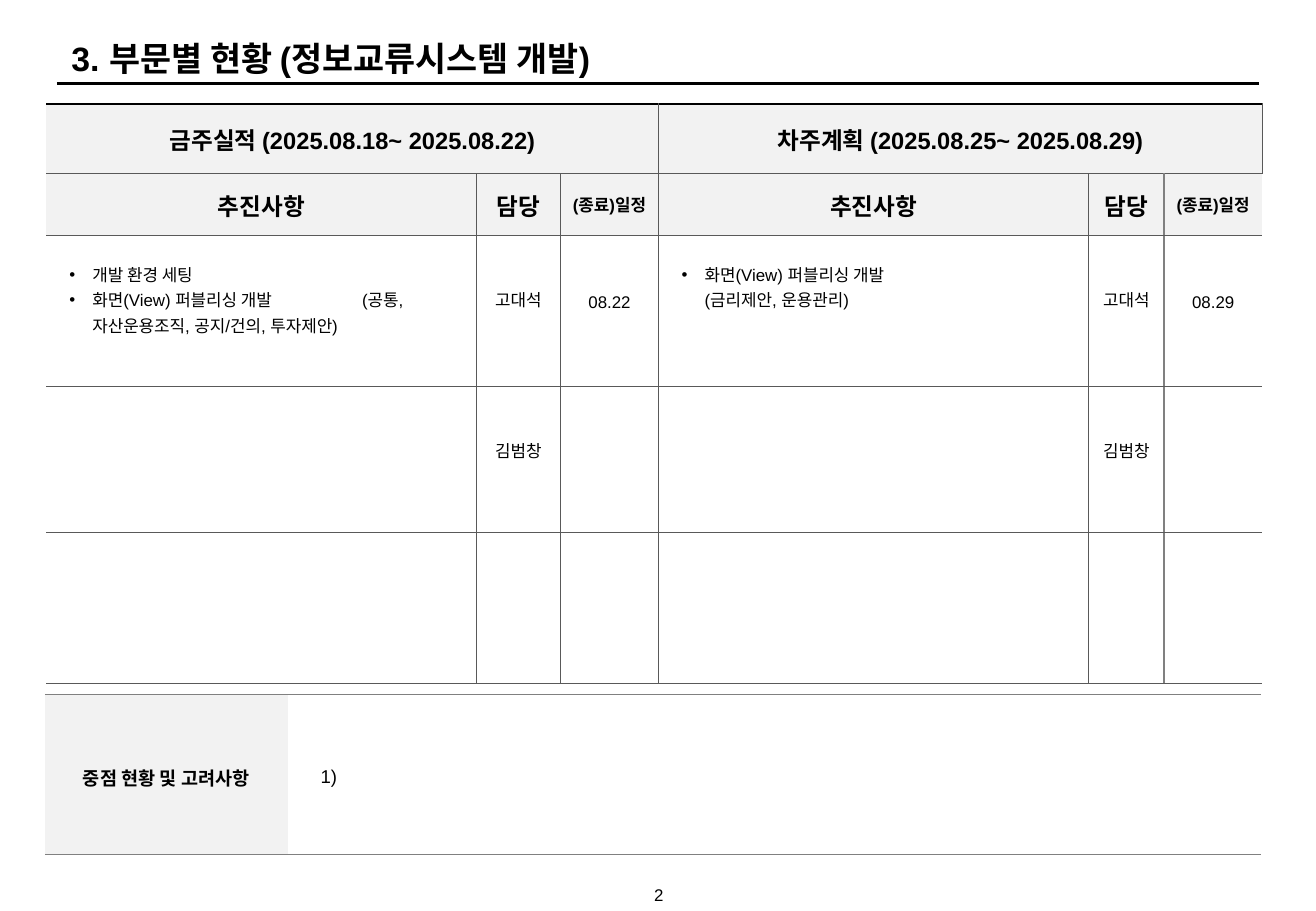
import pptx
import pptx.dml.color
import pptx.enum.shapes
import pptx.enum.text
import pptx.oxml
import pptx.oxml.ns
import pptx.util
from dataclasses import dataclass
from lxml import etree

Cm = pptx.util.Cm
Pt = pptx.util.Pt
qn = pptx.oxml.ns.qn
ALIGN = pptx.enum.text.PP_ALIGN
ANCHOR = pptx.enum.text.MSO_ANCHOR


@dataclass(frozen=True)
class Theme:
    font: str = "Arial"
    text: str = "000000"
    header_fill: str = "F2F2F2"
    grid: str = "595959"
    soft_grid: str = "808080"
    title_size: int = 20
    header_size: int = 14
    note_size: int = 11
    body_size: int = 10


THEME = Theme()
GRID = (THEME.grid, 0.5)
SOFT_GRID = (THEME.soft_grid, 0.5)
DIVIDER = (THEME.soft_grid, 1)
HEAVY = (THEME.text, 1.5)

COLUMNS = [8.99, 1.75, 2.06, 8.99, 1.57, 2.06]
ROWS = [1.45, 1.3, 3.15, 3.05, 3.15]
PERIODS = ["금주실적 (2025.08.18~ 2025.08.22)", "차주계획 (2025.08.25~ 2025.08.29)"]
HEADINGS = ["추진사항", "담당", "(종료)일정"]
# Each row holds tasks, person and date for this week, then for next week
WORK = [
    [["개발 환경 세팅",
      "화면(View) 퍼블리싱 개발\t(공통, 자산운용조직, 공지/건의, 투자제안)"],
     "고대석", "08.22",
     ["화면(View) 퍼블리싱 개발\v(금리제안, 운용관리)"],
     "고대석", "08.29"],
    [[], "김범창", "", [], "김범창", ""],
    [[], "", "", [], "", ""],
]


def set_font(paragraph, size, bold=False):
    paragraph.font.name = THEME.font
    paragraph.font.size = Pt(size)
    paragraph.font.bold = bold
    paragraph.font.color.rgb = pptx.dml.color.RGBColor.from_string(THEME.text)


def set_margins(target, left=0, top=0, right=0, bottom=0):
    target.margin_left, target.margin_top = Cm(left), Cm(top)
    target.margin_right, target.margin_bottom = Cm(right), Cm(bottom)


def style_cell(cell, fill=None, left=None, right=None, top=None, bottom=None):
    """Set borders, given as (colour, points) or None, and the fill."""
    properties = cell._tc.get_or_add_tcPr()
    for tag, border in (("a:lnL", left), ("a:lnR", right),
                        ("a:lnT", top), ("a:lnB", bottom)):
        line = etree.SubElement(properties, qn(tag))
        if border is None:
            etree.SubElement(line, qn("a:noFill"))
            continue
        colour, points = border
        line.set("w", str(int(Pt(points))))
        solid = etree.SubElement(line, qn("a:solidFill"))
        etree.SubElement(solid, qn("a:srgbClr"), val=colour)
    if fill:
        cell.fill.solid()
        cell.fill.fore_color.rgb = pptx.dml.color.RGBColor.from_string(fill)
    else:
        cell.fill.background()


def write_centred(cell, text, size, bold=False):
    paragraph = cell.text_frame.paragraphs[0]
    paragraph.text = text
    paragraph.alignment = ALIGN.CENTER
    set_font(paragraph, size, bold)
    return paragraph


def write_header(cell, text, size):
    cell.vertical_anchor = ANCHOR.MIDDLE
    write_centred(cell, text, size, True).space_before = Pt(4)


def write_tasks(cell, tasks):
    cell.margin_top = Cm(0.53)
    for index, task in enumerate(tasks):
        frame = cell.text_frame
        paragraph = frame.add_paragraph() if index else frame.paragraphs[0]
        paragraph.text = task
        paragraph.line_spacing = Pt(15)
        properties = paragraph._p.get_or_add_pPr()
        properties.set("marL", str(int(Cm(0.96))))
        properties.set("indent", str(int(Cm(-0.48))))
        etree.SubElement(properties, qn("a:buFont"), typeface=THEME.font)
        etree.SubElement(properties, qn("a:buChar"), char="•")
        if "\t" in task:
            stops = etree.SubElement(properties, qn("a:tabLst"))
            etree.SubElement(stops, qn("a:tab"), pos=str(int(Cm(6.6))), algn="l")
        set_font(paragraph, THEME.body_size)


def add_plain_table(slide, left, top, columns, rows):
    frame = slide.shapes.add_table(len(rows), len(columns), Cm(left), Cm(top),
                                   Cm(sum(columns)), Cm(sum(rows)))
    table = frame.table
    table.first_row = table.horz_banding = False
    for column, width in zip(table.columns, columns):
        column.width = Cm(width)
    for row, height in zip(table.rows, rows):
        row.height = Cm(height)
    return table


def add_title(slide, left, top, width, height):
    title = slide.shapes.title
    title.left, title.top, title.width, title.height = map(Cm, (left, top, width, height))
    frame = title.text_frame
    frame.text = "3. 부문별 현황 (정보교류시스템 개발)"
    frame.vertical_anchor = ANCHOR.MIDDLE
    frame.auto_size = pptx.enum.text.MSO_AUTO_SIZE.NONE
    frame.paragraphs[0].alignment = ALIGN.LEFT
    set_font(frame.paragraphs[0], THEME.title_size, True)
    # Rule under the title
    rule_left, rule_top = left - 0.05, top + height + 0.08
    rule = slide.shapes.add_connector(pptx.enum.shapes.MSO_CONNECTOR.STRAIGHT, Cm(rule_left),
                                      Cm(rule_top), Cm(rule_left + 25.12), Cm(rule_top))
    rule.line.color.rgb = pptx.dml.color.RGBColor.from_string(THEME.text)
    rule.line.width = Pt(1.5)
    etree.SubElement(rule._element.spPr, qn("a:effectLst"))


def add_work_table(slide, left, top):
    table = add_plain_table(slide, left, top, COLUMNS, ROWS)
    last = len(COLUMNS) - 1
    # Borders, fills and margins
    for row in range(len(ROWS)):
        for column in range(len(COLUMNS)):
            cell = table.cell(row, column)
            set_margins(cell)
            divided = row > 0
            style_cell(cell, THEME.header_fill if row < 2 else None,
                       left=None if column == 0 else DIVIDER if divided and column == last else GRID,
                       right=None if column == last else DIVIDER if divided and column == last - 1 else GRID,
                       top=GRID if row else HEAVY, bottom=GRID)
    # Headers
    for index, period in enumerate(PERIODS):
        start = index * len(HEADINGS)
        table.cell(0, start).merge(table.cell(0, start + 2))
        write_header(table.cell(0, start), period, THEME.header_size)
        for offset, heading in enumerate(HEADINGS):
            size = THEME.body_size if offset == 2 else THEME.header_size
            write_header(table.cell(1, start + offset), heading, size)
    # Work items
    for row, entries in enumerate(WORK, start=2):
        for column, entry in enumerate(entries):
            cell = table.cell(row, column)
            if isinstance(entry, list):
                write_tasks(cell, entry)
            elif entry:
                cell.margin_top = Cm(1.06)
                write_centred(cell, entry, THEME.body_size).line_spacing = Pt(15)


def add_notes_table(slide, left, top):
    table = add_plain_table(slide, left, top, [5.08, 20.35], [3.33])
    label, notes = table.cell(0, 0), table.cell(0, 1)
    for cell, fill in ((label, THEME.header_fill), (notes, "FFFFFF")):
        style_cell(cell, fill, top=SOFT_GRID, bottom=SOFT_GRID)
        set_margins(cell, 0.2, 0.2, 0.2, 0.1)
        cell.vertical_anchor = ANCHOR.MIDDLE
    write_header(label, "중점 현황 및 고려사항", THEME.note_size)
    paragraph = notes.text_frame.paragraphs[0]
    paragraph.text = "1)"
    paragraph.space_before = Pt(3)
    paragraph._p.get_or_add_pPr().set("marL", str(int(Cm(0.48))))
    set_font(paragraph, THEME.note_size)


def add_page_number(slide, left, top, width, height):
    box = slide.shapes.add_textbox(Cm(left), Cm(top), Cm(width), Cm(height))
    set_margins(box.text_frame)
    box.text_frame.vertical_anchor = ANCHOR.BOTTOM
    paragraph = box.text_frame.paragraphs[0]
    paragraph.alignment = ALIGN.CENTER
    set_font(paragraph, THEME.body_size)
    field = etree.SubElement(paragraph._p, qn("a:fld"), type="slidenum",
                             id="{B6F15528-21DE-4FAA-801E-634DDDAF4B2B}")
    etree.SubElement(field, qn("a:rPr"), lang="en-US", sz=str(THEME.body_size * 100))
    etree.SubElement(field, qn("a:t")).text = "2"


def main():
    presentation = pptx.Presentation()
    presentation.slide_width, presentation.slide_height = Cm(27.51), Cm(19.05)
    presentation.element.set("firstSlideNum", "2")
    slide = presentation.slides.add_slide(presentation.slide_layouts[5])
    add_title(slide, 1.24, 0.76, 18.49, 0.91)
    add_work_table(slide, 0.97, 2.18)
    add_notes_table(slide, 0.94, 14.53)
    add_page_number(slide, 13.4, 18.52, 0.74, 0.41)
    presentation.save("out.pptx")


if __name__ == "__main__":
    main()
